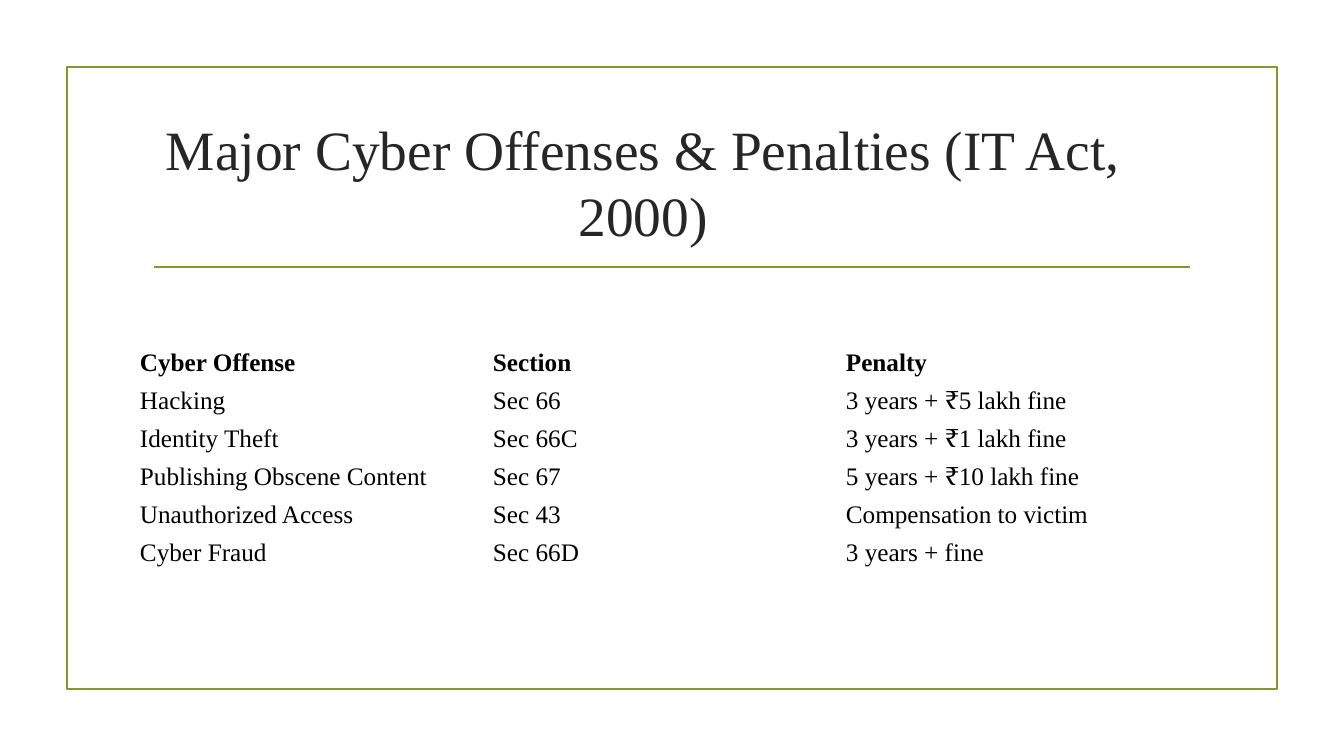
from dataclasses import dataclass

from lxml import etree
from pptx import Presentation
from pptx.dml.color import RGBColor
from pptx.enum.shapes import MSO_CONNECTOR, MSO_SHAPE
from pptx.enum.text import MSO_ANCHOR, PP_ALIGN
from pptx.oxml.ns import qn
from pptx.util import Emu, Pt

RECTANGLE = MSO_SHAPE.RECTANGLE
STRAIGHT = MSO_CONNECTOR.STRAIGHT
MIDDLE = MSO_ANCHOR.MIDDLE
CENTER = PP_ALIGN.CENTER
LEFT = PP_ALIGN.LEFT

EMU_PER_PX = 12192000 / 1344
FONT = "Times New Roman"
COLORS = {"accent": "83992A", "title": "262626", "body": "000000"}
LINE_WIDTH = Pt(1.25)

TITLE = "Major Cyber Offenses & Penalties (IT Act, 2000)"
COLUMN_WIDTH = 353
ROW_HEIGHT = 38
CELL_MARGIN = 10


@dataclass(frozen=True)
class Box:
    left: int
    top: int
    width: int
    height: int


@dataclass(frozen=True)
class Offense:
    name: str
    section: str
    penalty: str


HEADER = Offense("Cyber Offense", "Section", "Penalty")
OFFENSES = [
    Offense("Hacking", "Sec 66", "3 years + ₹5 lakh fine"),
    Offense("Identity Theft", "Sec 66C", "3 years + ₹1 lakh fine"),
    Offense("Publishing Obscene Content", "Sec 67", "5 years + ₹10 lakh fine"),
    Offense("Unauthorized Access", "Sec 43", "Compensation to victim"),
    Offense("Cyber Fraud", "Sec 66D", "3 years + fine"),
]


def px(value: int) -> Emu:
    return Emu(round(value * EMU_PER_PX))


def place(box: Box) -> tuple[Emu, Emu, Emu, Emu]:
    return px(box.left), px(box.top), px(box.width), px(box.height)


def color(name: str) -> RGBColor:
    return RGBColor.from_string(COLORS[name])


def style_line(shape) -> None:
    shape.line.color.rgb = color("accent")
    shape.line.width = LINE_WIDTH


def add_run(paragraph, text: str, size: float, color_name: str, bold: bool = False) -> None:
    run = paragraph.add_run()
    run.text = text
    run.font.name = FONT
    run.font.size = Pt(size)
    run.font.bold = bold
    run.font.color.rgb = color(color_name)


def add_frame(slide, box: Box) -> None:
    frame = slide.shapes.add_shape(RECTANGLE, *place(box))
    frame.shadow.inherit = False
    frame.fill.background()
    style_line(frame)


def add_rule(slide, left: int, right: int, y: int) -> None:
    rule = slide.shapes.add_connector(STRAIGHT, px(left), px(y), px(right), px(y))
    style_line(rule)
    etree.SubElement(rule.element.spPr, qn("a:effectLst"))


def add_title(slide, box: Box) -> None:
    text_frame = slide.shapes.add_textbox(*place(box)).text_frame
    text_frame.word_wrap = True
    text_frame.vertical_anchor = MIDDLE
    paragraph = text_frame.paragraphs[0]
    paragraph.alignment = CENTER
    paragraph.line_spacing = Pt(47)
    add_run(paragraph, TITLE, 39.6, "title")


def add_offense_table(slide, left: int, top: int) -> None:
    rows = [HEADER, *OFFENSES]
    box = Box(left, top, COLUMN_WIDTH * 3, ROW_HEIGHT * len(rows))
    table = slide.shapes.add_table(len(rows), 3, *place(box)).table
    table.first_row = False
    table.horz_banding = False
    for column in table.columns:
        column.width = px(COLUMN_WIDTH)
    for row, offense in zip(table.rows, rows):
        row.height = px(ROW_HEIGHT)
        values = (offense.name, offense.section, offense.penalty)
        for cell, text in zip(row.cells, values):
            cell.fill.background()
            cell.vertical_anchor = MIDDLE
            cell.margin_left = cell.margin_right = px(CELL_MARGIN)
            cell.margin_top = cell.margin_bottom = 0
            paragraph = cell.text_frame.paragraphs[0]
            paragraph.alignment = LEFT
            add_run(paragraph, text, 18, "body", bold=offense is HEADER)


def main() -> None:
    presentation = Presentation()
    presentation.slide_width = px(1344)
    presentation.slide_height = px(756)
    slide = presentation.slides.add_slide(presentation.slide_layouts[6])
    add_frame(slide, Box(67, 67, 1210, 622))
    add_rule(slide, 154, 1190, 267)
    add_title(slide, Box(85, 110, 1116, 144))
    add_offense_table(slide, 130, 344)
    presentation.save("out.pptx")


if __name__ == "__main__":
    main()
